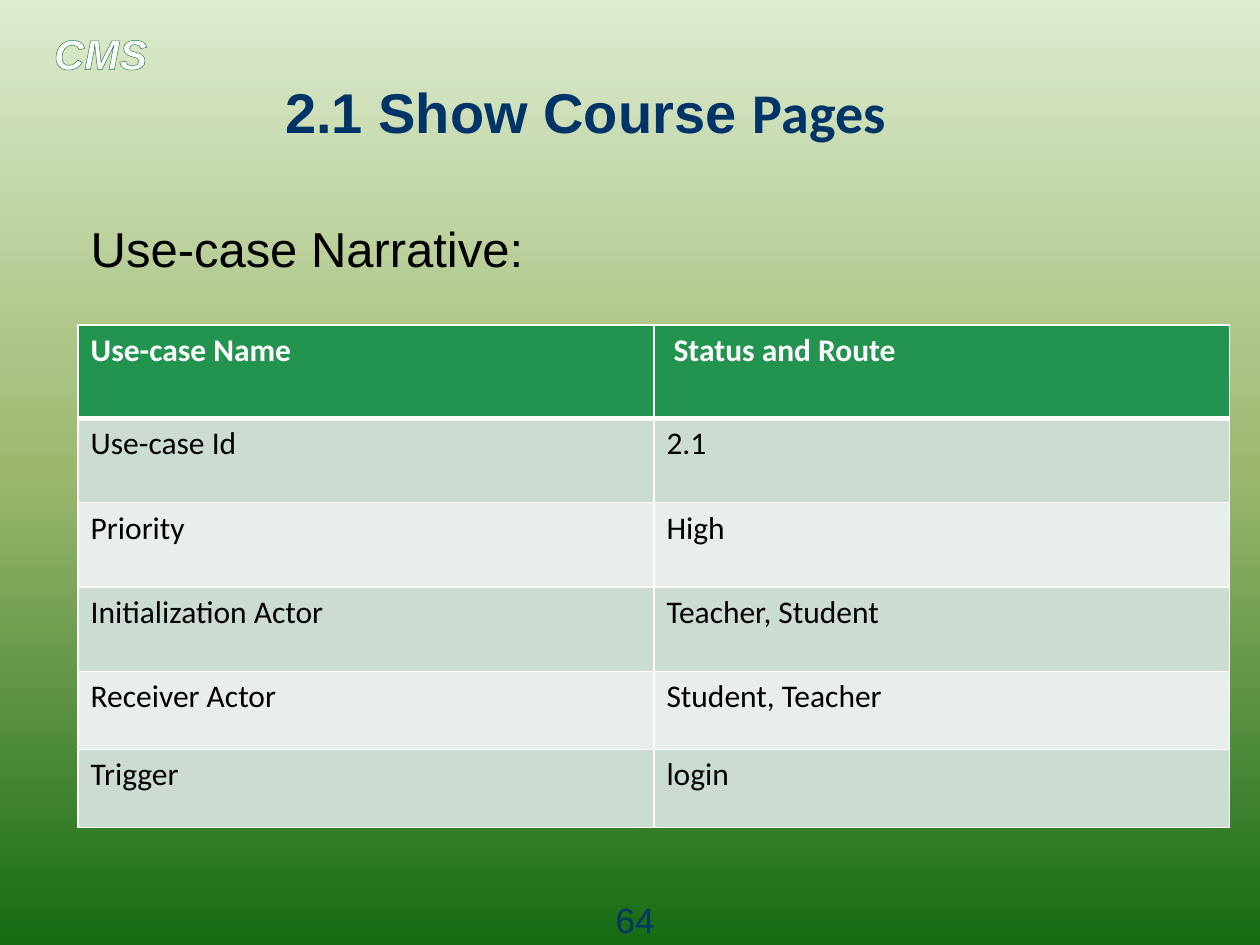
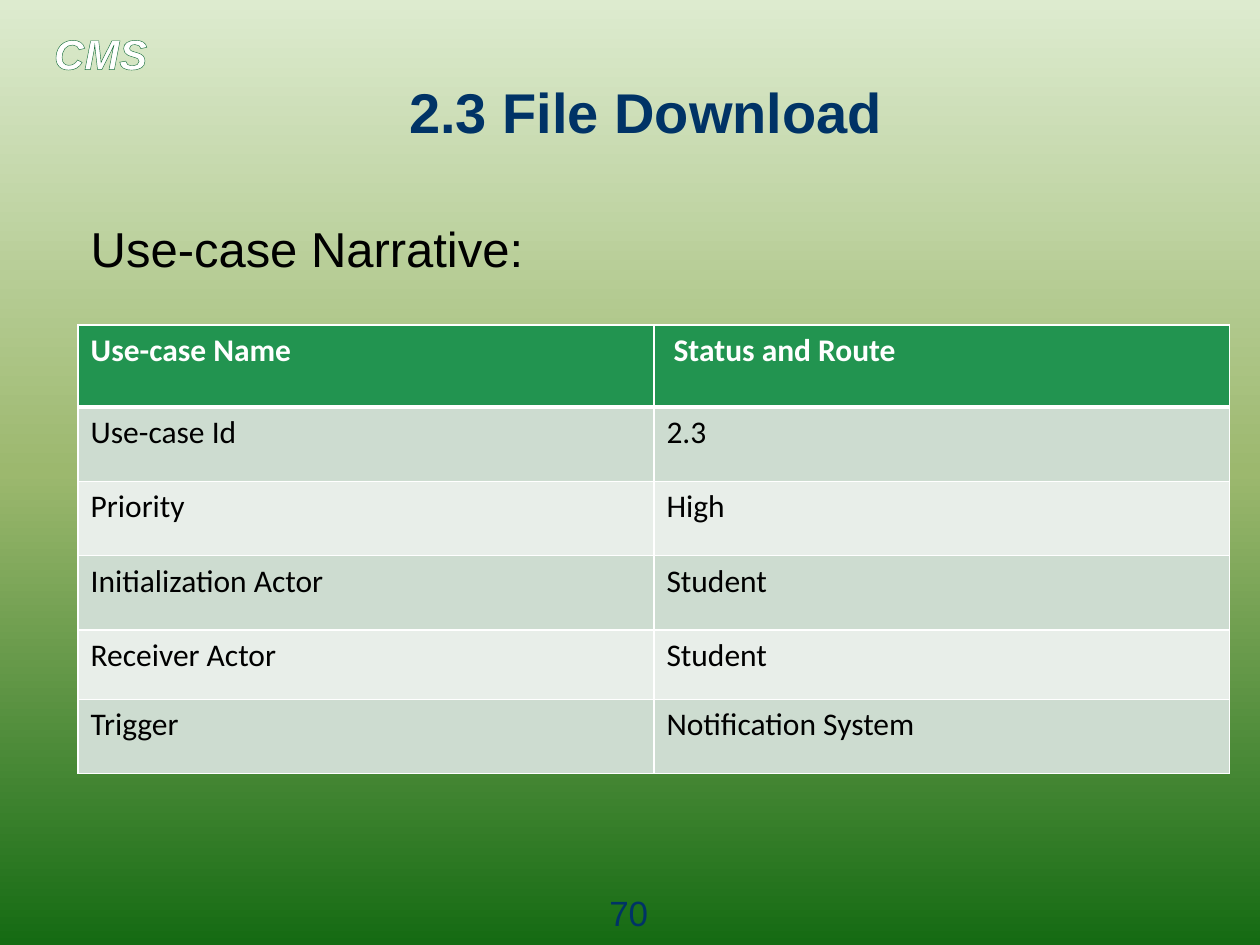
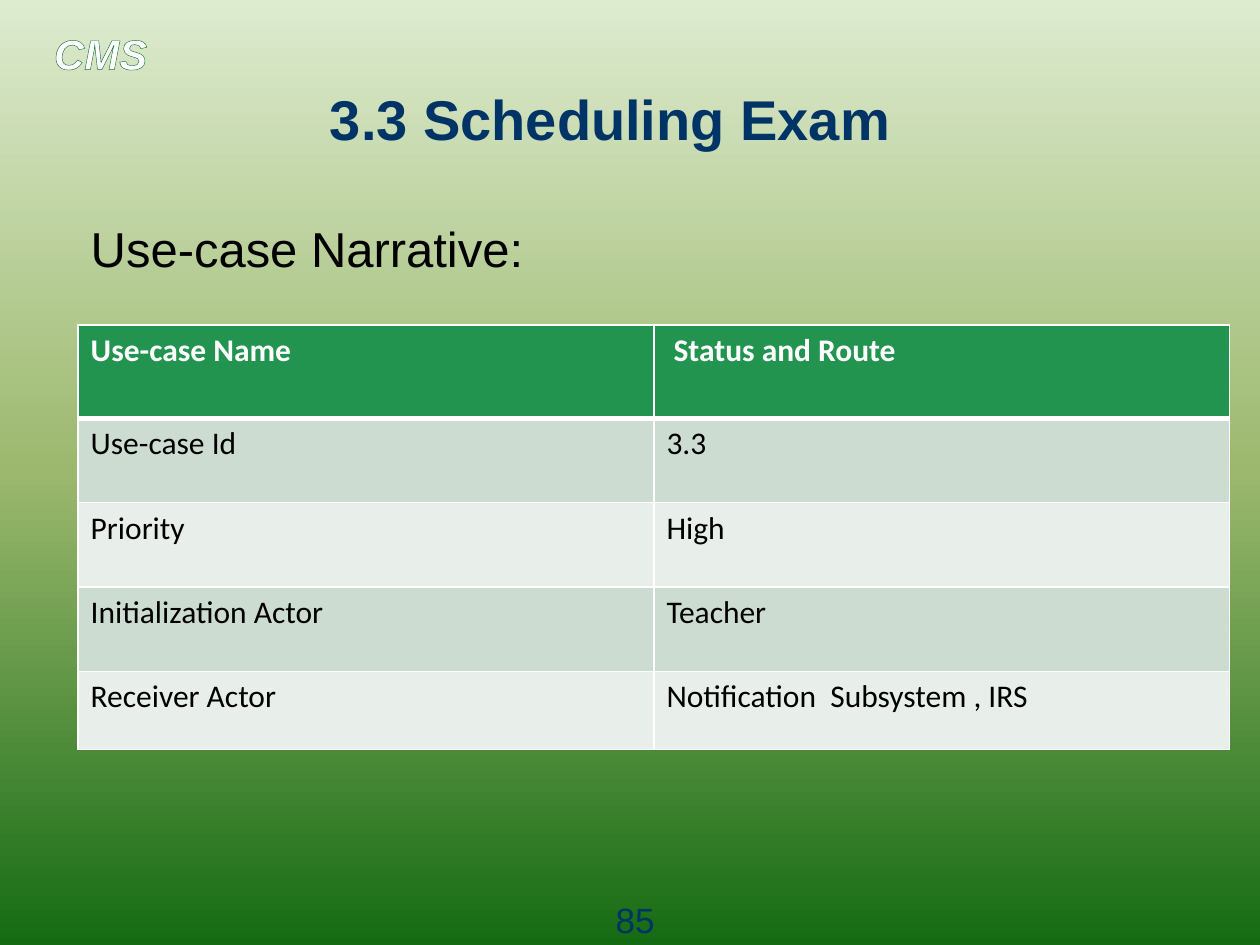
from copy import deepcopy

from lxml import etree
from pptx import Presentation
from pptx import util as u
from pptx.dml.color import RGBColor
from pptx.enum import text
from pptx.oxml.ns import qn

NAVY = RGBColor(0x00, 0x33, 0x66)
WHITE = RGBColor(0xFF, 0xFF, 0xFF)
BLACK = RGBColor(0x00, 0x00, 0x00)
GREEN = RGBColor(0x22, 0x94, 0x50)
EDGE = RGBColor(0x19, 0x6F, 0x3C)
BANDS = [RGBColor(0xE8, 0xEE, 0xE9), RGBColor(0xCD, 0xDC, 0xD0)]
SKY = [(0, RGBColor(0xDD, 0xEB, 0xCF)), (0.5, RGBColor(0x9C, 0xB8, 0x6E)),
       (1, RGBColor(0x15, 0x6B, 0x13))]
HEAD = ("Use-case Name", " Status and Route")
LABELS = ("Use-case Id", "Priority", "Initialization Actor", "Receiver Actor", "Trigger")
TALL = (9.87, 8.93, 8.93, 8.93, 8.27, 8.27)
SHORT = (8.67, 7.87, 7.87, 7.87, 7.33, 7.87)

PAGES = [
    dict(title=[("2.1 Show Course ", "Arial"), ("Pages ", "Calibri")], spot=(2.3, 8.27),
         facts=("2.1", "High", "Teacher, Student", "Student, Teacher", "login"),
         rows=TALL, page="64", foot=(45.8, 94.4)),
    dict(title=[("2.3 File Download ", "Arial")], spot=(2.3, 8.27),
         facts=("2.3", "High", "Student", "Student", "Notification System"),
         rows=SHORT, page="70", foot=(45.3, 93.73)),
    dict(title=[("3.3 Scheduling Exam", "Arial")], spot=(1.7, 8.93),
         facts=("3.3", "High", "Teacher", "Notification  Subsystem , IRS"),
         rows=TALL, page="85", foot=(45.8, 94.4)),
]


def add_line(parent, tag, color, width):
    line = etree.SubElement(parent, qn(tag), w=str(u.Pt(width)))
    fill = etree.SubElement(line, qn("a:solidFill"))
    etree.SubElement(fill, qn("a:srgbClr"), val=str(color))


class Deck:
    def __init__(self):
        self.prs = Presentation()
        self.prs.slide_width = u.Inches(10)
        self.prs.slide_height = u.Inches(7.5)
        self.master = self.prs.slide_master
        self.slide = None
        self.paint()

    def wide(self, share):
        return round(self.prs.slide_width * share / 100)

    def high(self, share):
        return round(self.prs.slide_height * share / 100)

    def box(self, x, y, w, h):
        return self.wide(x), self.high(y), self.wide(w), self.high(h)

    def style(self, para, size, color, name="Arial", bold=False):
        font = para.font
        font.size, font.name, font.bold = u.Pt(size), name, bold
        font.color.rgb = color
        return font

    def paint(self):
        fill = self.master.background.fill
        fill.gradient()
        fill.gradient_angle = 270
        stops = self.master.element.find(".//" + qn("a:gsLst"))
        stops.append(deepcopy(stops[-1]))
        for stop, (place, color) in zip(fill.gradient_stops, SKY):
            stop.position = place
            stop.color.rgb = color

    def add_slide(self):
        self.slide = self.prs.slides.add_slide(self.prs.slide_layouts[1])

    def place(self, shape, x, y, w, h):
        shape.left, shape.top, shape.width, shape.height = self.box(x, y, w, h)
        frame = shape.text_frame
        frame.auto_size = text.MSO_AUTO_SIZE.NONE
        return frame

    def label(self, words, x, y, w, h):
        shape = self.slide.shapes.add_textbox(*self.box(x, y, w, h))
        shape.text_frame.word_wrap = True
        para = shape.text_frame.paragraphs[0]
        para.text = words
        return shape, para

    def brand(self):
        shape, para = self.label("CMS", 3.3, 2.27, 15, 6.67)
        self.style(para, 24, WHITE, bold=True).italic = True
        add_line(para.runs[0].font._element, "a:ln", EDGE, 1)
        self.master.shapes.element.append(shape.element)

    def title(self, parts, x, y):
        frame = self.place(self.slide.shapes.title, x, y, 70, 7.07)
        frame.vertical_anchor = text.MSO_ANCHOR.MIDDLE
        para = frame.paragraphs[0]
        para.alignment = text.PP_ALIGN.RIGHT
        self.style(para, 32, NAVY, bold=True)
        for words, name in parts:
            run = para.add_run()
            run.text = words
            if name != "Arial":
                run.font.name = name

    def body(self, words):
        frame = self.place(self.slide.placeholders[1], 6.2, 21.87, 89.6, 68.67)
        frame.margin_top = self.high(1.2)
        para = frame.paragraphs[0]
        para.text = words
        props = para._p.get_or_add_pPr()
        props.set("marL", "0")
        props.set("indent", "0")
        etree.SubElement(props, qn("a:buNone"))
        para.space_before = u.Pt(0)
        self.style(para, 28, BLACK)

    def cell(self, cell, words, row):
        cell.text = words
        top = row == 0
        self.style(cell.text_frame.paragraphs[0], 18, WHITE if top else BLACK, "Calibri", top)
        props = cell._tc.get_or_add_tcPr()
        for side in "LRTB":
            thick = (row, side) in ((0, "B"), (1, "T"))
            add_line(props, "a:ln" + side, WHITE, 3 if thick else 1)
        cell.fill.solid()
        cell.fill.fore_color.rgb = GREEN if top else BANDS[row % 2]

    def table(self, data, rows):
        rows = rows[:len(data)]
        area = self.box(6.2, 34.4, 91.4, sum(rows))
        grid = self.slide.shapes.add_table(len(data), len(HEAD), *area).table
        for i, (pair, tall) in enumerate(zip(data, rows)):
            grid.rows[i].height = self.high(tall)
            for j, words in enumerate(pair):
                self.cell(grid.cell(i, j), words, i)

    def footer(self, page, x, y):
        _, para = self.label(page, x, y, 9.2, 3.87)
        para.alignment = text.PP_ALIGN.CENTER
        self.style(para, 20, NAVY)


def main():
    deck = Deck()
    for i, item in enumerate(PAGES):
        deck.add_slide()
        if i == 0:
            deck.brand()
        deck.title(item["title"], *item["spot"])
        deck.body("Use-case Narrative:")
        deck.table([HEAD, *zip(LABELS, item["facts"])], item["rows"])
        deck.footer(item["page"], *item["foot"])
    deck.prs.save("out.pptx")


if __name__ == "__main__":
    main()
